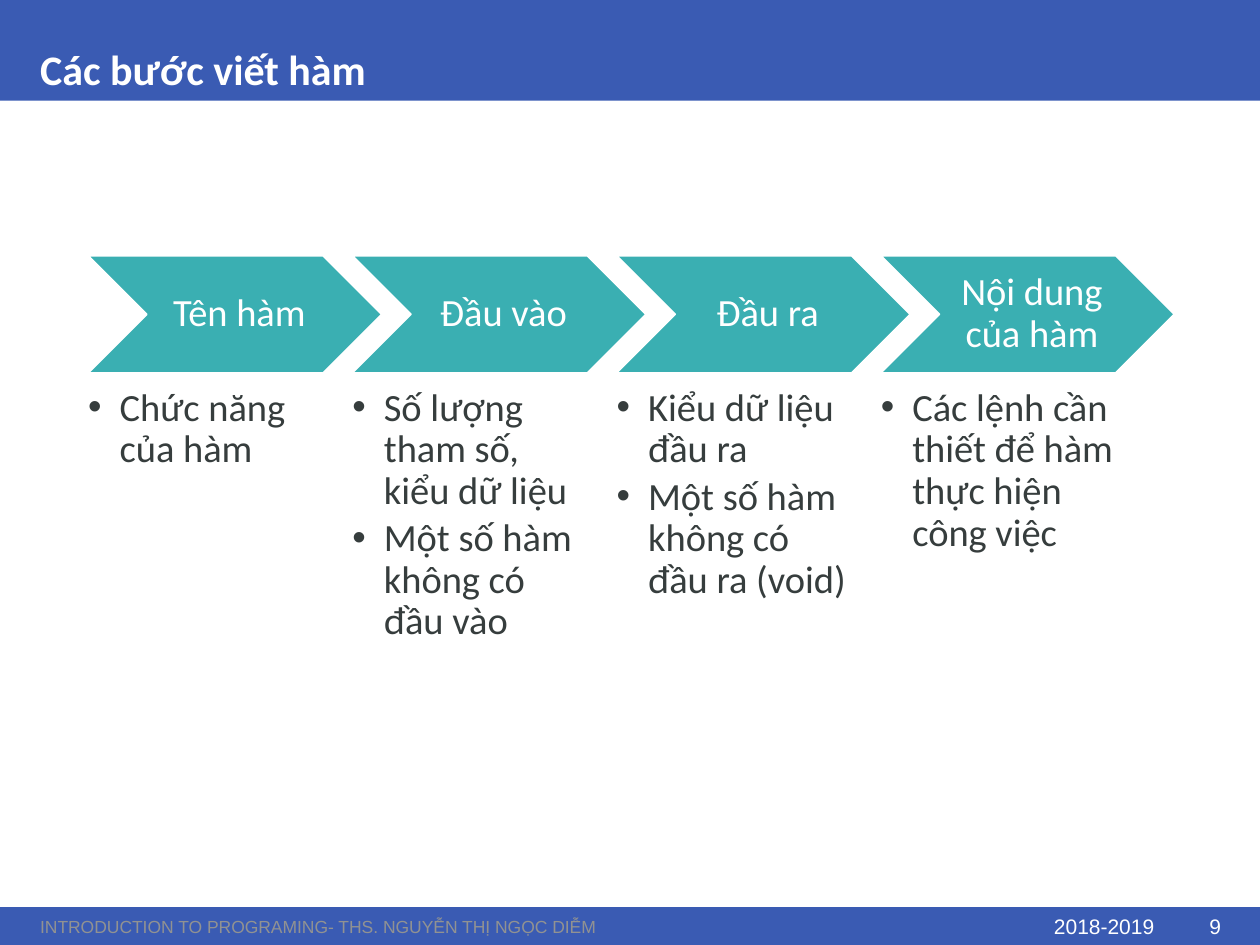
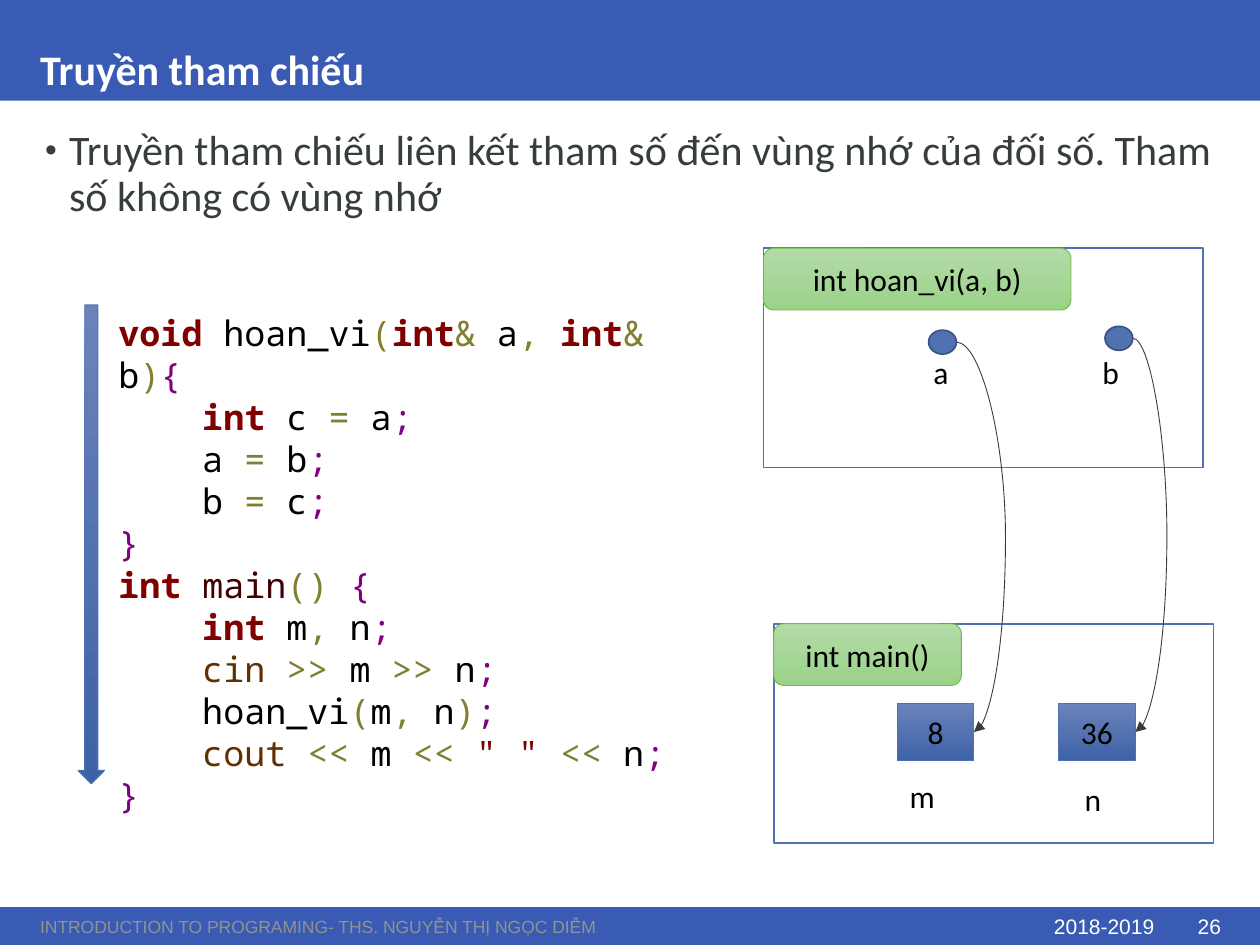
import pptx
import pptx.util
import pptx.dml.color
import pptx.enum.shapes
import pptx.enum.text
import pptx.oxml.ns
import lxml.etree
from dataclasses import dataclass

SHAPE = pptx.enum.shapes.MSO_SHAPE
ALIGN = pptx.enum.text.PP_ALIGN
ANCHOR = pptx.enum.text.MSO_ANCHOR
Pt = pptx.util.Pt
CELL = pptx.util.Inches(0.1)  # the slide is a grid of 100 columns by 75 rows
COLS, ROWS = 100, 75


class Theme:
    blue, teal, white, black = "3A5BB3", "3AAFB2", "FFFFFF", "000000"
    ink, gray, edge, rim, leaf = "363D3D", "919292", "5172B1", "3C5483", "6ABD45"
    steel = ("6A83BA", "3E62A7")
    green = ("B4DBA8", "9AD288")
    word, sign, mark, entry, stream = "800000", "808030", "800080", "400000", "603000"
    sans, foot, mono = "Calibri", "Arial", "Noto Sans Mono"


@dataclass
class Style:
    size: float
    color: str = Theme.ink
    font: str = Theme.sans
    bold: bool = False
    align: object = ALIGN.LEFT
    lead: float = 1.0
    before: float = 0
    after: float = 0


TITLE = Style(24, Theme.white, bold=True, lead=0.9)
BODY = Style(24, lead=0.9, before=13.5)
STEP = Style(22, Theme.white, align=ALIGN.CENTER, lead=0.9)
ITEM = Style(22, lead=0.9, after=3.3)
NOTE = Style(18, Theme.black)
TAG = Style(18, Theme.black, align=ALIGN.CENTER)
FOOT = Style(10, Theme.gray, Theme.foot)
DATE = Style(12, Theme.white, Theme.foot, align=ALIGN.RIGHT)

INKS = {Theme.word: ["void", "int", '" "'],
        Theme.sign: ["(", ")", "()", "&", ",", "=", ">>", "<<"],
        Theme.mark: ["{", "}", ";"],
        Theme.entry: ["main"],
        Theme.stream: ["cin", "cout"]}
TOKENS = {token: ink for ink, tokens in INKS.items() for token in tokens}


@dataclass
class Box:
    """A rectangle in grid cells."""
    x: float
    y: float
    w: float
    h: float

    def sub(self, x, y, w, h):
        return Box(self.x + x, self.y + y, w, h)

    def emu(self):
        return [round(v * CELL) for v in (self.x, self.y, self.w, self.h)]

    def right(self):
        return self.x + self.w, self.y + self.h / 2


def rgb(code):
    return pptx.dml.color.RGBColor.from_string(code)


def add(parent, tag, **attrs):
    node = lxml.etree.SubElement(parent, pptx.oxml.ns.qn(tag))
    for key, value in attrs.items():
        node.set(key, str(value))
    return node


def ink(run, style, color=None, bold=None):
    font = run.font
    font.name, font.size = style.font, Pt(style.size)
    font.bold = style.bold if bold is None else bold
    font.color.rgb = rgb(color or style.color)


def write(frame, text, style, anchor=ANCHOR.TOP, pad=None, wrap=True):
    frame.text = text
    frame.word_wrap = wrap
    frame.vertical_anchor = anchor
    if pad is not None:
        frame.margin_left = frame.margin_top = pad
        frame.margin_right = frame.margin_bottom = pad
    for par in frame.paragraphs:
        par.alignment, par.line_spacing = style.align, style.lead
        par.space_before, par.space_after = Pt(style.before), Pt(style.after)
        for run in par.runs:
            ink(run, style)
    return frame


def label(slide, box, text, style, **opts):
    return write(slide.shapes.add_textbox(*box.emu()).text_frame, text, style, **opts)


def dot(frame, left, hang, size=100):
    """Bullets with a hanging indent, in cells."""
    for par in frame.paragraphs:
        props = par._p.get_or_add_pPr()
        props.set("marL", str(round(left * CELL)))
        props.set("indent", str(round(-hang * CELL)))
        add(props, "a:buSzPct", val=size * 1000)
        add(props, "a:buFont", typeface="Arial")
        add(props, "a:buChar", char="•")


def shape(slide, kind, box, fill, line=None, width=1.0):
    """A preset shape; a pair of colours as fill makes a downward gradient."""
    form = slide.shapes.add_shape(kind, *box.emu())
    form.shadow.inherit = False
    if isinstance(fill, tuple):
        form.fill.gradient()
        form.fill.gradient_angle = 270
        for stop, code in zip(form.fill.gradient_stops, fill):
            stop.color.rgb = rgb(code)
    else:
        form.fill.solid()
        form.fill.fore_color.rgb = rgb(fill)
    if line:
        form.line.color.rgb, form.line.width = rgb(line), Pt(width)
    else:
        form.line.fill.background()
    return form


def base(deck, title, number):
    """A blank slide with bands, title and footer."""
    slide = deck.slides.add_slide(deck.slide_layouts[6])
    top, foot = Box(0, 0, COLS, 8), Box(0, ROWS - 3, COLS, 3)
    for band in (top, foot):
        shape(slide, SHAPE.RECTANGLE, band, Theme.blue)
    label(slide, top.sub(2.2, 0, 95.7, 8), title, TITLE, anchor=ANCHOR.BOTTOM)
    for x, w, text, style in (
            (81.9, 10.7, "2018-2019", DATE),
            (2.2, 79.7, "INTRODUCTION TO PROGRAMING- THS. NGUYỄN THỊ NGỌC DIỄM", FOOT),
            (92.6, 5.3, str(number), DATE)):
        label(slide, foot.sub(x, 0.2, w, 2.6), text, style, anchor=ANCHOR.MIDDLE)
    return slide


def flow(slide, box, steps):
    """Chevrons that overlap by a tenth, each with its list below."""
    wide, tall = 23.3, 9.3
    for i, (name, items) in enumerate(steps):
        part = box.sub(i * wide * 0.9, 0, wide, tall)
        shape(slide, SHAPE.CHEVRON, part, Theme.teal, Theme.white)
        head = label(slide, part.sub(wide / 5, 0, wide * 0.6, tall), name, STEP,
                     anchor=ANCHOR.MIDDLE, pad=round(0.3 * CELL))
        head.margin_left = CELL
        notes = label(slide, part.sub(0, 10.5, wide * 0.8, 21.1), "\n".join(items), ITEM, pad=0)
        dot(notes, 2.5, 2.5)


def code(slide, box, lines):
    """Coloured code beside an arrow; each line is (depth, tokens split by |)."""
    shape(slide, SHAPE.DOWN_ARROW, box.sub(0, 0, 2.1, box.h), Theme.steel, Theme.edge, 0.5)
    frame = slide.shapes.add_textbox(*box.sub(2.2, 0, box.w - 2.2, box.h).emu()).text_frame
    frame.word_wrap = True
    style = Style(20, Theme.black, Theme.mono)
    tab = Pt(4 * 0.6 * style.size)  # four monospaced letters
    for i, (depth, line) in enumerate(lines):
        par = frame.add_paragraph() if i else frame.paragraphs[0]
        par._p.get_or_add_pPr().set("marL", str(depth * tab))
        for token in line.split("|"):
            run = par.add_run()
            run.text = token
            key = token.strip()
            ink(run, style, TOKENS.get(key), key in ("void", "int"))


def scope(slide, box, name, wide):
    """The memory frame of one function, with its name tag."""
    shape(slide, SHAPE.RECTANGLE, box, Theme.white, Theme.edge)
    tag = shape(slide, SHAPE.ROUNDED_RECTANGLE, box.sub(0, 0, wide, 4.9),
                Theme.green, Theme.leaf, 0.5)
    write(tag.text_frame, name, TAG, anchor=ANCHOR.MIDDLE)


def bend(slide, start, end, bulge=2.5):
    """A curved arrow that swings out to the right of its end."""
    ends = [round(v * CELL) for v in (*start, *end)]
    curve = slide.shapes.add_connector(pptx.enum.shapes.MSO_CONNECTOR.CURVE, *ends)
    curve.line.color.rgb, curve.line.width = rgb(Theme.ink), Pt(0.5)
    add(curve.line._get_or_add_ln(), "a:tailEnd", type="triangle")
    props = curve._element.spPr
    add(props, "a:effectLst")
    guides = props.find(pptx.oxml.ns.qn("a:prstGeom")).get_or_add_avLst()
    ratio = (end[0] + bulge - start[0]) / (end[0] - start[0])
    add(guides, "a:gd", name="adj1", fmla=f"val {round(ratio * 100000)}")


def memory(slide, box):
    """References in the called function point at cells of the caller."""
    main, swap = box.sub(0.8, 29.8, 34.9, 17.4), box.sub(0, 0, 34.9, 17.4)
    scope(slide, main, "int main()", 14.9)
    cells = [main.sub(x, 6.3, 6.1, 4.6) for x in (9.8, 22.6)]
    for cell, value in zip(cells, ("8", "36")):
        form = shape(slide, SHAPE.RECTANGLE, cell, Theme.steel, Theme.edge, 0.5)
        write(form.text_frame, value, TAG, anchor=ANCHOR.MIDDLE)
    scope(slide, swap, "int hoan_vi(a, b)", 24.4)
    for area, x, y, w, name in ((main, 9.8, 11.7, 4.1, "m"), (main, 23.7, 11.9, 3.4, "n"),
                                (swap, 12.5, 7.8, 3.4, "a"), (swap, 25.9, 7.8, 3.4, "b")):
        label(slide, area.sub(x, y, w, 4), name, NOTE, wrap=False)
    refs = [swap.sub(x, y, 2.2, 1.9) for x, y in ((13.1, 6.5), (27.1, 6.2))]
    for ref, cell in zip(refs, cells):
        bend(slide, ref.right(), cell.right())
    for ref in refs:
        shape(slide, SHAPE.OVAL, ref, Theme.edge, Theme.rim)


def steps(deck):
    slide = base(deck, "Các bước viết hàm", 9)
    flow(slide, Box(7, 20.3, 86.2, 31.6), [
        ("Tên hàm", ["Chức năng của hàm"]),
        ("Đầu vào", ["Số lượng tham số, kiểu dữ liệu", "Một số hàm không có đầu vào"]),
        ("Đầu ra", ["Kiểu dữ liệu đầu ra", "Một số hàm không có đầu ra (void)"]),
        ("Nội dung của hàm", ["Các lệnh cần thiết để hàm thực hiện công việc"])])


def passing(deck):
    slide = base(deck, "Truyền tham chiếu", 26)
    body = label(slide, Box(2.2, 9.8, 95.7, 60.5),
                 "Truyền tham chiếu liên kết tham số đến vùng nhớ của đối số. "
                 "Tham số không có vùng nhớ", BODY)
    dot(body, 2.3, 1.9, 80)
    code(slide, Box(6.2, 24.2, 49, 38), [
        (0, "void| hoan_vi|(|int|&| a|, |int|&| b|)|{"),
        (1, "int| c |=| a|;"),
        (1, "a |=| b|;"),
        (1, "b |=| c|;"),
        (0, "}"),
        (0, "int |main|() |{"),
        (1, "int| m|,| n|;"),
        (1, "cin |>>| m |>>| n|;"),
        (1, "hoan_vi|(|m|,| n|)|;"),
        (1, 'cout |<<| m |<< |" " |<<| n|;'),
        (0, "}")])
    memory(slide, Box(60.6, 19.7, 35.7, 47.2))


def main():
    deck = pptx.Presentation()
    deck.slide_width, deck.slide_height = COLS * CELL, ROWS * CELL
    steps(deck)
    passing(deck)
    deck.save("out.pptx")


if __name__ == "__main__":
    main()
